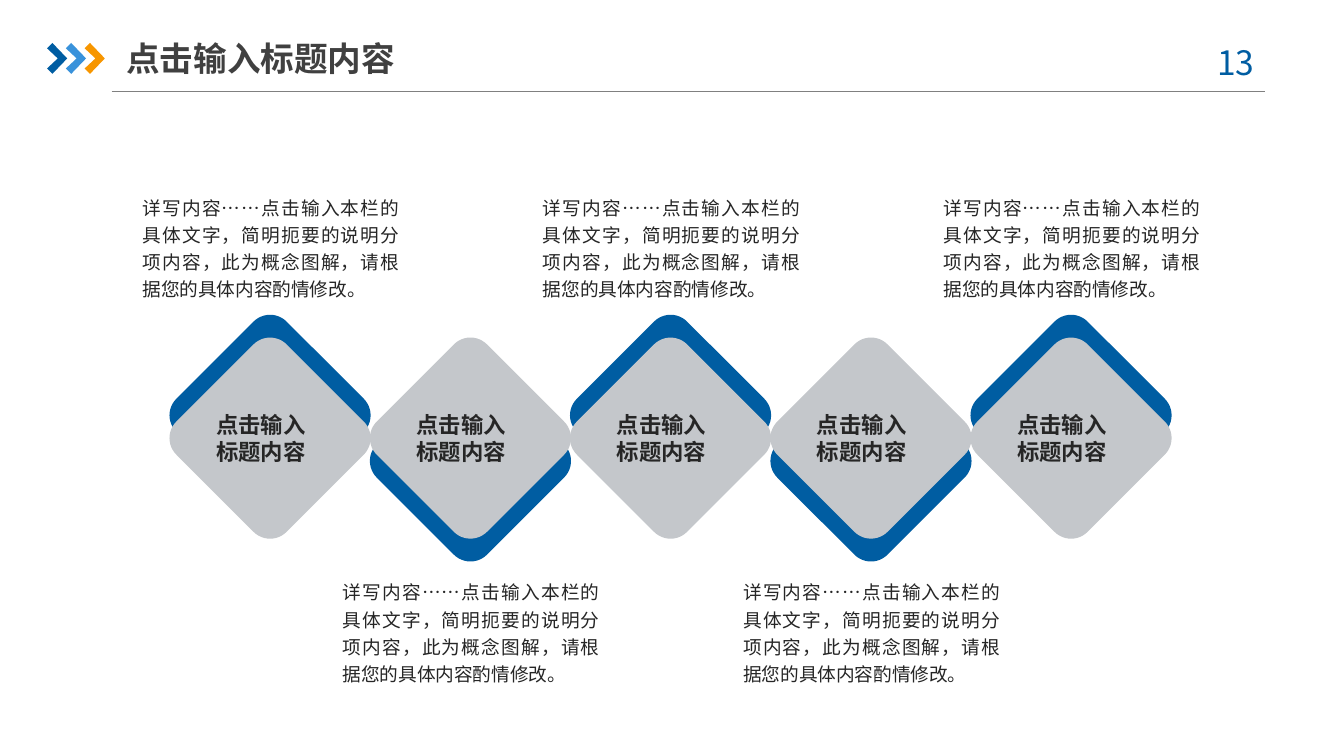
import lxml.etree
import pptx
import pptx.dml.color
import pptx.enum.shapes
import pptx.enum.text
import pptx.oxml.ns
import pptx.util

RGB = pptx.dml.color.RGBColor
BLUE = RGB(0x00, 0x5D, 0xA2)
SKY = RGB(0x39, 0x92, 0xDB)
ORANGE = RGB(0xF7, 0x96, 0x00)
SILVER = RGB(0xC4, 0xC7, 0xCB)
RULE_GREY = RGB(0x80, 0x80, 0x80)
TITLE_GREY = RGB(0x40, 0x40, 0x40)
INK = RGB(0x26, 0x26, 0x26)

FONT = "Noto Sans CJK SC"
CELL = 91440  # one grid cell is a tenth of an inch
COLUMNS, ROWS = 100, 56.25
STEP = 14.9  # columns between neighbouring diamonds
LINE_PITCH = pptx.util.Pt(14.5)

ALIGN = pptx.enum.text.PP_ALIGN
ANCHOR = pptx.enum.text.MSO_ANCHOR
FIT = pptx.enum.text.MSO_AUTO_SIZE
PRESET = pptx.enum.shapes.MSO_SHAPE

HEADING = "点击输入标题内容"
DETAIL = ("详写内容……点击输入本栏的具体文字，简明扼要的说明分项内容，"
          "此为概念图解，请根据您的具体内容酌情修改。")


def grid(*cells):
    """Turn counts of grid cells into lengths."""
    return [pptx.util.Emu(round(count * CELL)) for count in cells]


def apply(target, values):
    """Set every attribute named in a dict of format values."""
    for name, value in values.items():
        setattr(target, name, value)


def margins(side, end):
    """Give the frame margins for the sides and the top and bottom."""
    side, end = grid(side, end)
    return dict(margin_left=side, margin_right=side,
                margin_top=end, margin_bottom=end)


class Painter:
    """Holds the style and the current slide."""

    def __init__(self, slide, font):
        """Keep the slide and its font."""
        self.slide = slide
        self.shapes = slide.shapes
        self.font = font

    def fill_text(self, box, text, size, color, bold=False, frame=None, para=None):
        """Fill a box with one formatted paragraph."""
        text_frame = box.text_frame
        apply(text_frame, {"word_wrap": True, "auto_size": FIT.NONE, **(frame or {})})
        paragraph = text_frame.paragraphs[0]
        apply(paragraph, {"alignment": ALIGN.LEFT, **(para or {})})
        span = paragraph.add_run()
        span.text = text
        apply(span.font, dict(name=self.font, size=pptx.util.Pt(size), bold=bold))
        span.font.color.rgb = color
        east_asian = lxml.etree.SubElement(
            span.font._element, pptx.oxml.ns.qn("a:ea"))
        east_asian.set("typeface", self.font)

    def title(self, place, text, **style):
        """Move the title placeholder and fill it."""
        box = self.shapes.title
        apply(box, dict(zip(("left", "top", "width", "height"), grid(*place))))
        self.fill_text(box, text, **style)

    def text(self, place, text, **style):
        """Add a text box."""
        self.fill_text(self.shapes.add_textbox(*grid(*place)), text, **style)

    def paint(self, shape, color):
        """Give a shape a flat fill without line or shadow."""
        shape.shadow.inherit = False
        shape.fill.solid()
        shape.fill.fore_color.rgb = color
        shape.line.fill.background()

    def diamond(self, left, top, side, turn, color):
        """Add a rounded square standing on its corner."""
        shape = self.shapes.add_shape(
            PRESET.ROUNDED_RECTANGLE, *grid(left, top, side, side))
        shape.adjustments[0] = 0.15
        shape.rotation = turn
        self.paint(shape, color)

    def chevron(self, left, top, color):
        """Add one arrow-like chevron."""
        outline = [(0.4, 0), (1.5, 1.15), (0.4, 2.3), (0, 1.9), (0.8, 1.15)]
        points = [tuple(grid(left + x, top + y)) for x, y in outline]
        start = grid(left, top + 0.4)
        builder = self.shapes.build_freeform(*start)
        builder.add_line_segments(points, close=True)
        self.paint(builder.convert_to_shape(), color)

    def rule(self, start, end, row, color):
        """Add a thin horizontal line."""
        line = self.shapes.add_connector(
            pptx.enum.shapes.MSO_CONNECTOR.STRAIGHT, *grid(start, row, end, row))
        line.line.color.rgb = color
        line.line.width = pptx.util.Pt(0.75)
        lxml.etree.SubElement(
            line._element.spPr, pptx.oxml.ns.qn("a:effectLst"))


def draw_header(painter):
    """Draw the title bar with its chevrons and page number."""
    painter.rule(8.3, 94.1, 6.8, RULE_GREY)
    for index, color in enumerate((BLUE, SKY, ORANGE)):
        painter.chevron(3.5 + 1.4 * index, 3.2, color)
    painter.text((88.6, 2.6, 7.3, 4), "13 ", size=18, color=BLUE,
                 para=dict(alignment=ALIGN.CENTER))
    painter.title((9.4, 2.2, 23.3, 4.2), HEADING, size=18, color=TITLE_GREY,
                  bold=True, frame=dict(vertical_anchor=ANCHOR.MIDDLE,
                                        **margins(0, 0.5)))


def draw_step(painter, index):
    """Draw one diamond with its label and its detail above or below."""
    shift = STEP * index
    upward = index % 2 == 0
    turn = 315 if upward else 135
    painter.diamond(14.3 + shift, 25.1 if upward else 28.5, 11.6, turn, BLUE)
    painter.diamond(14.3 + shift, 26.8, 11.6, turn, SILVER)
    painter.text((15.1 + shift, 31.5, 9.9, 2.2), HEADING, size=12, color=INK,
                 bold=True, frame=dict(vertical_anchor=ANCHOR.MIDDLE),
                 para=dict(line_spacing=LINE_PITCH,
                           space_before=pptx.util.Pt(2.4)))
    painter.text((10.6 + shift, 14.3 if upward else 42.9, 19.1, 8.1), DETAIL,
                 size=10, color=INK,
                 frame=dict(auto_size=FIT.SHAPE_TO_FIT_TEXT, **margins(0, 0)),
                 para=dict(alignment=ALIGN.JUSTIFY, line_spacing=LINE_PITCH))


def main():
    """Build and save the deck."""
    deck = pptx.Presentation()
    deck.slide_width, deck.slide_height = grid(COLUMNS, ROWS)
    page = deck.slides.add_slide(deck.slide_layouts.get_by_name("Title Only"))
    painter = Painter(page, FONT)
    draw_header(painter)
    for index in range(5):
        draw_step(painter, index)
    deck.save("out.pptx")


main()
